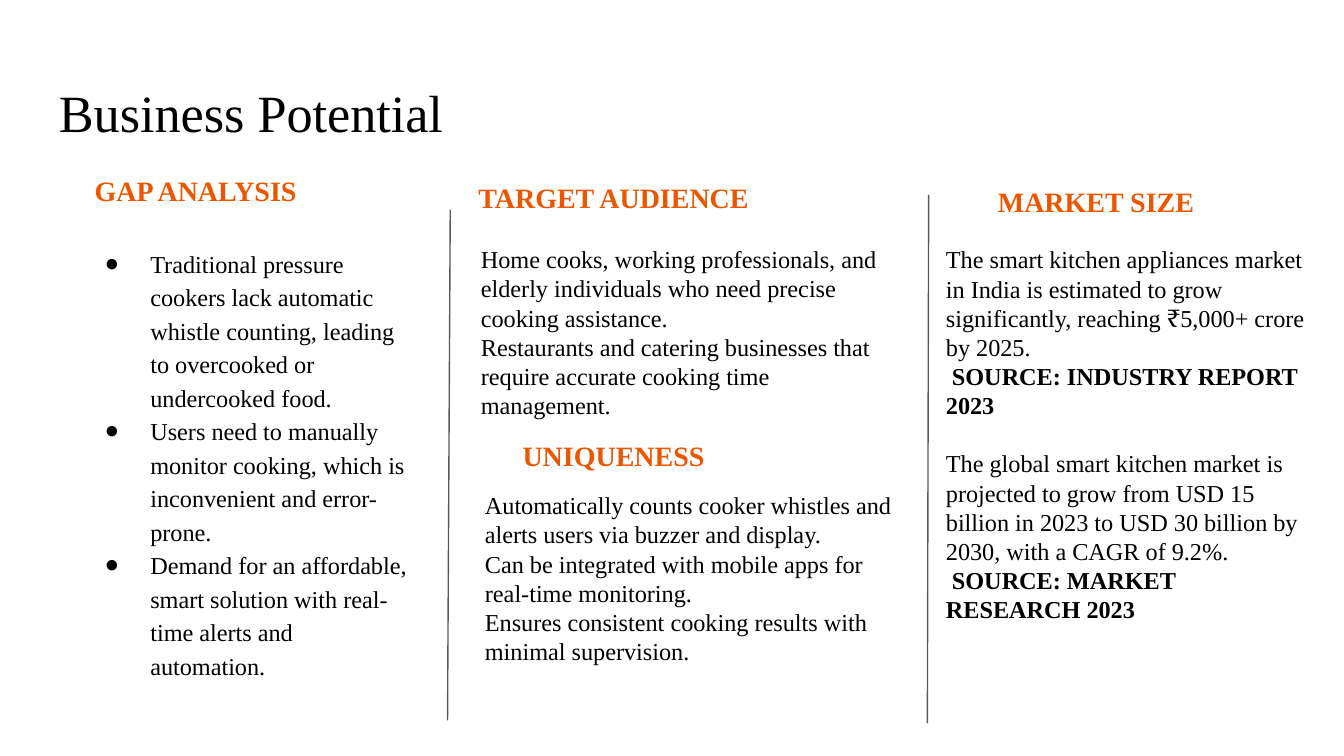
from lxml.etree import SubElement
from pptx import Presentation
from pptx.dml.color import RGBColor
from pptx.enum.shapes import MSO_CONNECTOR
from pptx.enum.text import MSO_ANCHOR, PP_ALIGN
from pptx.oxml.ns import qn
from pptx.util import Inches, Pt

BLACK = RGBColor(0x00, 0x00, 0x00)
ORANGE = RGBColor(0xEB, 0x56, 0x00)
GRAY = RGBColor(0x59, 0x59, 0x59)
FONT = "Times New Roman"


def add_span(para, text, size=13, color=BLACK, bold=False, font=FONT):
    for index, line in enumerate(text.split("\n")):
        if index:
            para.add_line_break()
        if line:
            span = para.add_run()
            span.text = line
            span.font.name = font
            span.font.size = Pt(size)
            span.font.bold = bold
            span.font.color.rgb = color


def add_bullet(para, size=13):
    properties = para._p.get_or_add_pPr()
    properties.set("marL", str(Inches(0.5)))
    properties.set("indent", str(Inches(-0.34)))
    color = SubElement(properties, qn("a:buClr"))
    SubElement(color, qn("a:srgbClr"), val=str(BLACK))
    SubElement(properties, qn("a:buSzPts"), val=str(size * 100))
    SubElement(properties, qn("a:buFont"), typeface=FONT)
    SubElement(properties, qn("a:buChar"), char="●")
    para.font.size = Pt(size)


class SlideBuilder:
    inset = Inches(0.1)

    def __init__(self, page):
        self.page = page

    def frame(self, left, top, width, height):
        box = self.page.shapes.add_textbox(
            Inches(left), Inches(top), Inches(width), Inches(height)
        )
        frame = box.text_frame
        frame.word_wrap = True
        frame.margin_left = frame.margin_right = self.inset
        frame.margin_top = frame.margin_bottom = self.inset
        return frame

    def title(self, text):
        frame = self.frame(0.34, 0.22, 4.66, 1.15)
        frame.vertical_anchor = MSO_ANCHOR.MIDDLE
        para = frame.paragraphs[0]
        para.line_spacing = 1.15
        para.space_after = Pt(12)
        add_span(para, text, size=28)

    def heading(self, text, left, top):
        para = self.frame(left, top, 2.49, 0.36).paragraphs[0]
        para.alignment = PP_ALIGN.CENTER
        add_span(para, text, size=15, color=ORANGE, bold=True)

    def body(self, paragraphs, left, top, width, height, bullets=False, gap=0):
        frame = self.frame(left, top, width, height)
        for index, content in enumerate(paragraphs):
            para = frame.add_paragraph() if index else frame.paragraphs[0]
            if index:
                para.space_before = Pt(gap)
            if bullets:
                para.line_spacing = 1.15
                add_bullet(para)
            text, source = content if isinstance(content, tuple) else (content, "")
            add_span(para, text)
            if source:
                add_span(para, source, bold=True)

    def divider(self, start_x, start_y, end_x, end_y):
        line = self.page.shapes.add_connector(
            MSO_CONNECTOR.STRAIGHT,
            Inches(start_x), Inches(start_y), Inches(end_x), Inches(end_y),
        )
        line.line.color.rgb = GRAY
        line.line.width = Pt(0.75)
        SubElement(line._element.spPr, qn("a:effectLst"))


def main():
    deck = Presentation()
    deck.slide_width = Inches(10)
    deck.slide_height = Inches(10) * 9 // 16
    slide = SlideBuilder(deck.slides.add_slide(deck.slide_layouts[6]))

    slide.title("Business Potential")

    slide.heading("GAP ANALYSIS", 0.21, 1.19)
    slide.body([
        "Traditional pressure cookers lack automatic whistle counting, "
        "leading to overcooked or undercooked food.",
        "Users need to manually monitor cooking, which is inconvenient and error-prone.",
        "Demand for an affordable, smart solution with real-time alerts and automation.",
    ], 0.52, 1.72, 2.61, 3.54, bullets=True)

    slide.divider(3.35, 1.56, 3.33, 5.36)
    slide.heading("TARGET AUDIENCE", 3.32, 1.24)
    slide.body([
        "Home cooks, working professionals, and elderly individuals "
        "who need precise cooking assistance.",
        "Restaurants and catering businesses that require accurate "
        "cooking time management.",
    ], 3.48, 1.72, 3.32, 1.57)

    slide.divider(6.91, 1.45, 6.9, 5.38)
    slide.heading("UNIQUENESS", 3.32, 3.16)
    slide.body([
        "Automatically counts cooker whistles and alerts users via buzzer and display.",
        "Can be integrated with mobile apps for real-time monitoring.",
        "Ensures consistent cooking results with minimal supervision.",
    ], 3.51, 3.55, 3.28, 1.52)

    slide.heading("MARKET SIZE", 6.91, 1.27)
    slide.body([
        ("The smart kitchen appliances market in India is estimated to grow "
         "significantly, reaching ₹5,000+ crore by 2025.\n ",
         "SOURCE: INDUSTRY REPORT 2023"),
        ("The global smart kitchen market is projected to grow from USD 15 billion "
         "in 2023 to USD 30 billion by 2030, with a CAGR of 9.2%.\n ",
         "SOURCE: MARKET RESEARCH 2023"),
    ], 6.94, 1.72, 2.93, 3.05, gap=15.6)

    deck.save("out.pptx")


if __name__ == "__main__":
    main()
